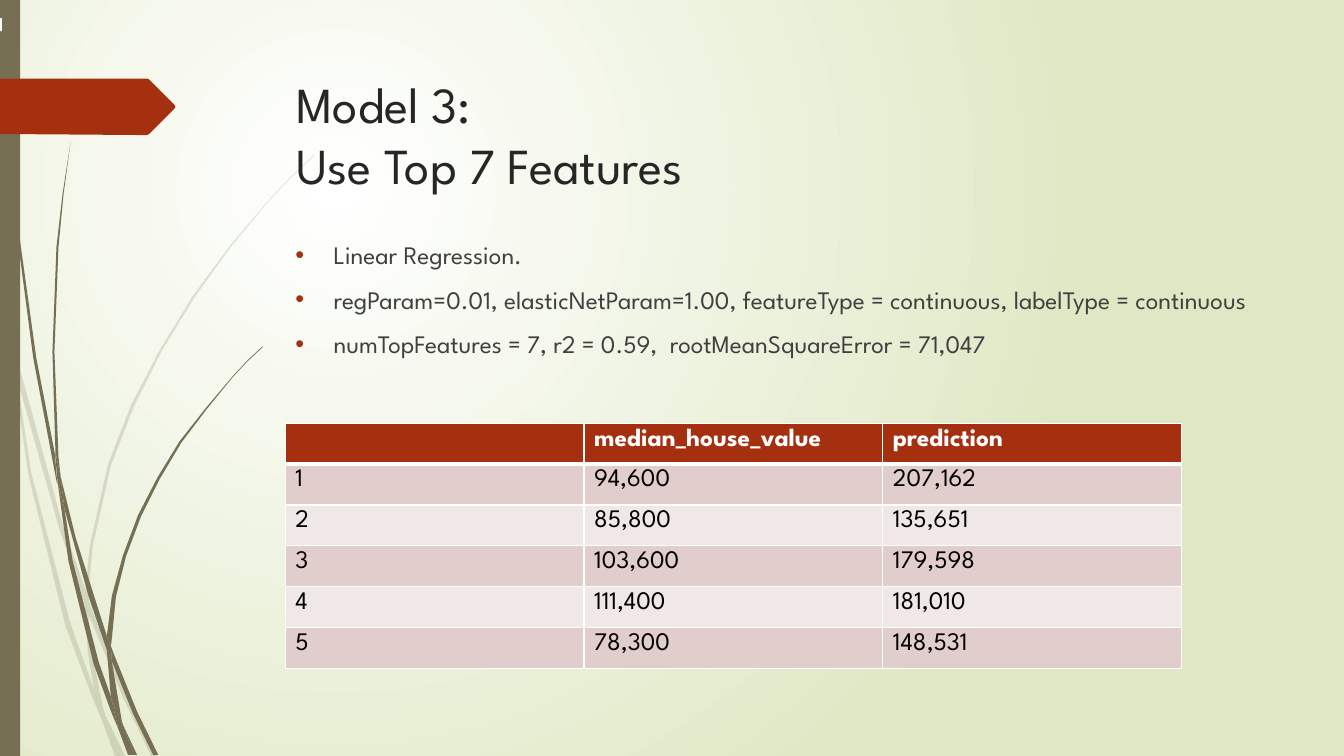
from dataclasses import dataclass

from lxml.etree import SubElement
from pptx import Presentation
from pptx.dml.color import RGBColor
from pptx.enum.shapes import MSO_SHAPE as Preset
from pptx.enum.text import MSO_ANCHOR as Anchor
from pptx.oxml import parse_xml
from pptx.oxml.ns import nsdecls, qn
from pptx.slide import Slide
from pptx.text.text import TextFrame
from pptx.util import Inches, Pt

FONT = "League Spartan"
WHITE = RGBColor(0xFF, 0xFF, 0xFF)
BLACK = RGBColor(0x00, 0x00, 0x00)
PALE_GREEN = RGBColor(0xDF, 0xE8, 0xC4)
BROWN = RGBColor(0x76, 0x6F, 0x54)
RUST = RGBColor(0xA5, 0x30, 0x10)
TITLE_GREY = RGBColor(0x26, 0x26, 0x26)
BODY_GREY = RGBColor(0x40, 0x40, 0x40)
BANDS = (RGBColor(0xE1, 0xCD, 0xCC), RGBColor(0xF0, 0xE8, 0xE7))

Points = list[tuple[int, int]]


@dataclass(frozen=True)
class Outline:
    """A closed outline in hundredths of an inch."""
    points: Points
    color: RGBColor = BROWN
    opacity: int = 100


@dataclass(frozen=True)
class Bar:
    left: float
    top: float
    width: float
    height: float
    color: RGBColor


PALE_GRASS: list[Points] = [
    [(11, 350), (9, 322), (0, 282), (0, 299), (10, 344)],
    [(58, 522), (84, 599), (85, 586), (62, 520), (14, 345), (17, 376)],
    [(92, 607), (88, 596), (88, 610), (123, 694), (150, 750), (155, 750), (127, 692)],
    [(119, 750), (124, 750), (105, 711)],
    [(93, 683), (70, 619), (31, 469), (17, 376), (11, 350), (28, 470), (65, 621),
     (92, 693), (101, 714), (99, 707)],
    [(84, 599), (87, 646), (93, 683), (96, 692), (105, 711), (103, 706), (91, 646),
     (88, 610), (88, 608)],
    [(88, 584), (92, 542), (110, 462), (133, 403), (160, 349), (193, 295), (229, 245),
     (268, 198), (290, 175), (312, 154), (312, 153), (289, 175), (268, 197), (228, 244),
     (191, 294), (158, 348), (130, 402), (107, 461), (89, 542), (85, 584), (85, 586),
     (88, 596)],
    [(101, 714), (114, 750), (119, 750)],
    [(88, 608), (88, 610), (88, 596), (85, 586), (84, 599)],
    [(96, 692), (93, 683), (99, 707), (101, 714), (119, 750), (105, 711)],
]
DARK_GRASS: list[Points] = [
    [(7, 110), (17, 233), (33, 355), (56, 477), (57, 481), (55, 457), (55, 453),
     (36, 355), (19, 232), (8, 109), (5, 48), (4, 0), (3, 0), (4, 48)],
    [(88, 592), (106, 645), (106, 631), (93, 590), (75, 533), (60, 472), (64, 505)],
    [(113, 649), (110, 641), (111, 656), (132, 708), (152, 749), (157, 749), (136, 706)],
    [(110, 691), (98, 657), (72, 556), (64, 505), (57, 477), (68, 557), (93, 659),
     (111, 708), (117, 722), (116, 717)],
    [(60, 472), (58, 453), (54, 349), (58, 245), (63, 193), (70, 141), (62, 193),
     (56, 245), (52, 349), (55, 449)],
    [(133, 749), (136, 749), (122, 719)],
    [(57, 477), (64, 505), (60, 472), (55, 449), (55, 453)],
    [(111, 633), (115, 592), (125, 552), (140, 512), (158, 476), (180, 439), (205, 406),
     (231, 374), (245, 359), (261, 344), (260, 344), (245, 358), (231, 373), (204, 405),
     (178, 438), (156, 474), (137, 511), (122, 551), (111, 591), (106, 631), (110, 641)],
    [(117, 722), (127, 749), (131, 749)],
    [(106, 645), (110, 691), (116, 706), (122, 719), (121, 716), (111, 656), (109, 651)],
    [(106, 645), (109, 651), (111, 656), (110, 641), (106, 631)],
    [(116, 706), (110, 691), (116, 717), (117, 722), (130, 749), (133, 749), (122, 719)],
]
GRASS = [Outline(blade, opacity=20) for blade in PALE_GRASS] + [Outline(blade) for blade in DARK_GRASS]
PAGE_ARROW = Outline(
    [(0, 78), (146, 78), (148, 79), (173, 104), (174, 106), (173, 108), (148, 133),
     (146, 134), (136, 134), (0, 133)], RUST)
SIDE_BAR = Bar(0, 0, 0.2, 7.5, BROWN)
PAGE_MARK = Bar(0, 0.18, 0.02, 0.13, WHITE)

TITLE = "Model 3: \vUse Top 7 Features"
FINDINGS = [
    "Linear Regression.",
    "regParam=0.01, elasticNetParam=1.00, featureType = continuous, labelType = continuous",
    "numTopFeatures = 7, r2 = 0.59,  rootMeanSquareError = 71,047",
]
PREDICTIONS = [
    ("", "median_house_value", "prediction"),
    ("1", "94,600", "207,162"),
    ("2", "85,800", "135,651"),
    ("3", "103,600", "179,598"),
    ("4", "111,400", "181,010"),
    ("5", "78,300", "148,531"),
]


def paint_background(slide: Slide) -> None:
    """Fill with a round gradient centred in the upper left quarter."""
    fill = slide.background.fill
    fill.gradient()
    for stop, color in zip(fill.gradient_stops, (WHITE, PALE_GREEN)):
        stop.color.rgb = color
    gradient = slide.element.find(".//" + qn("a:gradFill"))
    gradient.remove(gradient.find(qn("a:lin")))
    gradient.append(parse_xml(
        f'<a:path {nsdecls("a")} path="circle">'
        '<a:fillToRect l="50000" t="50000" r="100000" b="100000"/></a:path>'))


def paint(shape, color: RGBColor) -> None:
    shape.shadow.inherit = False
    shape.fill.solid()
    shape.fill.fore_color.rgb = color
    shape.line.fill.background()


def draw_outline(slide: Slide, outline: Outline) -> None:
    start, *rest = outline.points
    builder = slide.shapes.build_freeform(*start, scale=Inches(0.01))
    builder.add_line_segments(rest, close=True)
    shape = builder.convert_to_shape()
    paint(shape, outline.color)
    if outline.opacity < 100:
        color = shape.element.spPr.find(".//" + qn("a:srgbClr"))
        SubElement(color, qn("a:alpha"), val=str(outline.opacity * 1000))


def draw_bar(slide: Slide, bar: Bar) -> None:
    box = map(Inches, (bar.left, bar.top, bar.width, bar.height))
    paint(slide.shapes.add_shape(Preset.RECTANGLE, *box), bar.color)


def format_text(frame: TextFrame, size: int, color: RGBColor, bold: bool = False) -> None:
    for paragraph in frame.paragraphs:
        for run in paragraph.runs:
            font = run.font
            font.name, font.size, font.bold = FONT, Pt(size), bold
            font.color.rgb = color


def add_text(slide: Slide, text: str, left: float, top: float, height: float) -> TextFrame:
    frame = slide.shapes.add_textbox(Inches(left), Inches(top), Inches(9.75), Inches(height)).text_frame
    frame.word_wrap = True
    frame.vertical_anchor = Anchor.TOP
    frame.text = text
    return frame


def add_bullets(frame: TextFrame) -> None:
    for paragraph in frame.paragraphs:
        paragraph.space_before = Pt(10)
        properties = paragraph._p.get_or_add_pPr()
        properties.set("marL", str(Inches(0.38)))
        properties.set("indent", str(-Inches(0.38)))
        SubElement(SubElement(properties, qn("a:buClr")), qn("a:srgbClr"), val=str(RUST))
        SubElement(properties, qn("a:buFont"), typeface="Arial")
        SubElement(properties, qn("a:buChar"), char="•")


def add_borders(cell, top: int, bottom: int) -> None:
    """Put white borders round a cell, with widths in points."""
    properties = cell._tc.get_or_add_tcPr()
    for index, (side, width) in enumerate(zip("LRTB", (1, 1, top, bottom))):
        properties.insert(index, parse_xml(
            f'<a:ln{side} {nsdecls("a")} w="{Pt(width)}"><a:solidFill>'
            f'<a:srgbClr val="{WHITE}"/></a:solidFill></a:ln{side}>'))


def add_predictions(slide: Slide) -> None:
    table = slide.shapes.add_table(
        len(PREDICTIONS), len(PREDICTIONS[0]),
        Inches(2.83), Inches(4.2), Inches(8.89), Inches(2.43)).table
    for row, values in enumerate(PREDICTIONS):
        header = row == 0
        for column, value in enumerate(values):
            cell = table.cell(row, column)
            cell.text_frame.text = value
            format_text(cell.text_frame, 18, WHITE if header else BLACK, header)
            cell.fill.solid()
            cell.fill.fore_color.rgb = RUST if header else BANDS[(row - 1) % 2]
            add_borders(cell, top=3 if row == 1 else 1, bottom=3 if header else 1)


def main() -> None:
    deck = Presentation()
    deck.slide_width, deck.slide_height = Inches(13.33), Inches(7.5)
    slide = deck.slides.add_slide(deck.slide_layouts[6])
    paint_background(slide)
    for blade in GRASS:
        draw_outline(slide, blade)
    draw_bar(slide, SIDE_BAR)
    draw_outline(slide, PAGE_ARROW)
    format_text(add_text(slide, TITLE, 2.84, 0.68, 1.4), 36, TITLE_GREY)
    findings = add_text(slide, "\n".join(FINDINGS), 2.83, 2.33, 4.13)
    format_text(findings, 18, BODY_GREY)
    add_bullets(findings)
    draw_bar(slide, PAGE_MARK)
    add_predictions(slide)
    deck.save("out.pptx")


if __name__ == "__main__":
    main()
